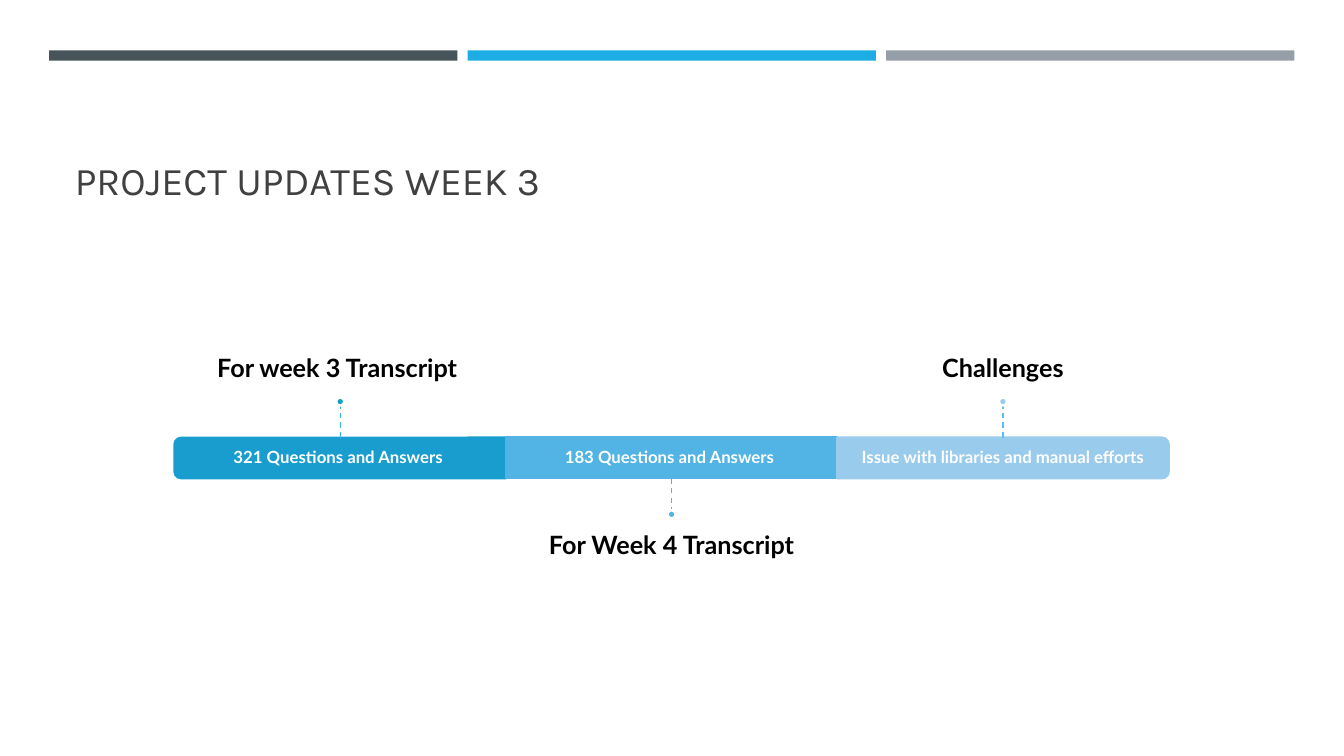
from lxml.etree import SubElement
from pptx import Presentation
from pptx.dml.color import RGBColor
from pptx.enum.dml import MSO_LINE
from pptx.enum.shapes import MSO_CONNECTOR, MSO_SHAPE
from pptx.enum.text import MSO_ANCHOR, MSO_AUTO_SIZE, PP_ALIGN
from pptx.oxml.ns import qn
from pptx.util import Cm, Pt

# Bar colour, connector colour, bar text, heading, heading above the bar, rotation
SEGMENTS = [
    ("199DCF", "36B3E9", "321 Questions and Answers ", "For week 3 Transcript ", True, 270),
    ("52B3E5", "48B8EC", "183 Questions and Answers ", "For Week 4 Transcript", False, 0),
    ("99CBEC", "5ABEEF", "Issue with libraries and manual efforts", "Challenges", True, 90),
]


def color(hex_code):
    return RGBColor.from_string(hex_code)


def add_filled(slide, kind, x, y, w, h, fill, line=None):
    sp = slide.shapes.add_shape(kind, Cm(x), Cm(y), Cm(w), Cm(h))
    sp.shadow.inherit = False
    sp.fill.solid()
    sp.fill.fore_color.rgb = color(fill)
    if line:
        sp.line.color.rgb = color(line)
        sp.line.width = Pt(1.75)
    else:
        sp.line.fill.background()
    return sp


def add_text(slide, x, y, w, h, text, size, hex_code, anchor, margins):
    tf = slide.shapes.add_textbox(Cm(x), Cm(y), Cm(w), Cm(h)).text_frame
    tf.word_wrap = True
    tf.vertical_anchor = anchor
    tf.margin_left, tf.margin_top, tf.margin_right, tf.margin_bottom = map(Cm, margins)
    p = tf.paragraphs[0]
    p.text = text
    p.alignment = PP_ALIGN.CENTER
    p.line_spacing = 0.9
    p.font.name = "Lato"
    p.font.size = Pt(size)
    p.font.bold = True
    p.font.color.rgb = color(hex_code)


def add_top_bands(slide, x, y, w, h, gap=0.26):
    band_w = (w - 2 * gap) / 3
    for i, fill in enumerate(("465359", "1CADE4", "969FA7")):
        add_filled(slide, MSO_SHAPE.RECTANGLE, x + i * (band_w + gap), y, band_w, h, fill)


def add_title(slide, x, y, w, h, text):
    title = slide.shapes.title
    title.left, title.top, title.width, title.height = Cm(x), Cm(y), Cm(w), Cm(h)
    tf = title.text_frame
    tf.auto_size = MSO_AUTO_SIZE.NONE
    tf.vertical_anchor = MSO_ANCHOR.BOTTOM
    p = tf.paragraphs[0]
    p.text = text
    p.alignment = PP_ALIGN.LEFT
    p.font.name = "Karla"
    p.font.size = Pt(28)
    p.font.color.rgb = color("404040")


def add_segment(slide, x, y, w, h, segment):
    fill, dash_color, label, heading, above, rotation = segment
    mid = x + w / 2

    # Bar: the rounded ends are upright shapes turned on their side
    if rotation:
        bar = add_filled(slide, MSO_SHAPE.ROUND_2_SAME_RECTANGLE,
                         mid - h / 2, y + h / 2 - w / 2, h, w, fill, fill)
        bar.rotation = rotation
    else:
        bar = add_filled(slide, MSO_SHAPE.RECTANGLE, x, y, w, h, fill, fill)
    add_text(slide, x, y, w, h, label, 12, "FFFFFF", MSO_ANCHOR.MIDDLE, [0.25] * 4)

    # Heading
    heading_w, heading_h, heading_gap = 13.92, 3.53, 1
    if above:
        add_text(slide, mid - heading_w / 2, y - heading_gap - heading_h, heading_w, heading_h,
                 heading, 18, "000000", MSO_ANCHOR.BOTTOM, (0, 0, 0, 0.38))
    else:
        add_text(slide, mid - heading_w / 2, y + h + heading_gap, heading_w, heading_h,
                 heading, 18, "000000", MSO_ANCHOR.TOP, (0, 0.38, 0, 0))

    # Dashed connector from the bar to its dot
    dash, dot = 0.81, 0.2
    start, end = (y, y - dash) if above else (y + h, y + h + dash)
    line = slide.shapes.add_connector(MSO_CONNECTOR.STRAIGHT, Cm(mid), Cm(start), Cm(mid), Cm(end))
    if not rotation:
        line.begin_connect(bar, 2)
    line.line.color.rgb = color(dash_color)
    line.line.width = Pt(1)
    line.line.dash_style = MSO_LINE.DASH
    SubElement(line._element.spPr, qn("a:effectLst"))
    add_filled(slide, MSO_SHAPE.OVAL, mid - dot / 2, end - dot if above else end,
               dot, dot, fill, "FFFFFF")


def add_timeline(slide, x, y, w, h):
    step = w / len(SEGMENTS)
    for i, segment in enumerate(SEGMENTS):
        add_segment(slide, x + i * step, y, step, h, segment)


def main():
    prs = Presentation()
    prs.slide_width, prs.slide_height = Cm(33.87), Cm(19.05)
    slide = prs.slides.add_slide(prs.slide_layouts[5])
    add_top_bands(slide, 1.24, 1.27, 31.38, 0.26)
    add_title(slide, 1.63, 1.96, 30.63, 3.3, "PROJECT UPDATES WEEK 3")
    add_timeline(slide, 4.4, 11.03, 25.05, 1.02)
    prs.save("out.pptx")


if __name__ == "__main__":
    main()
